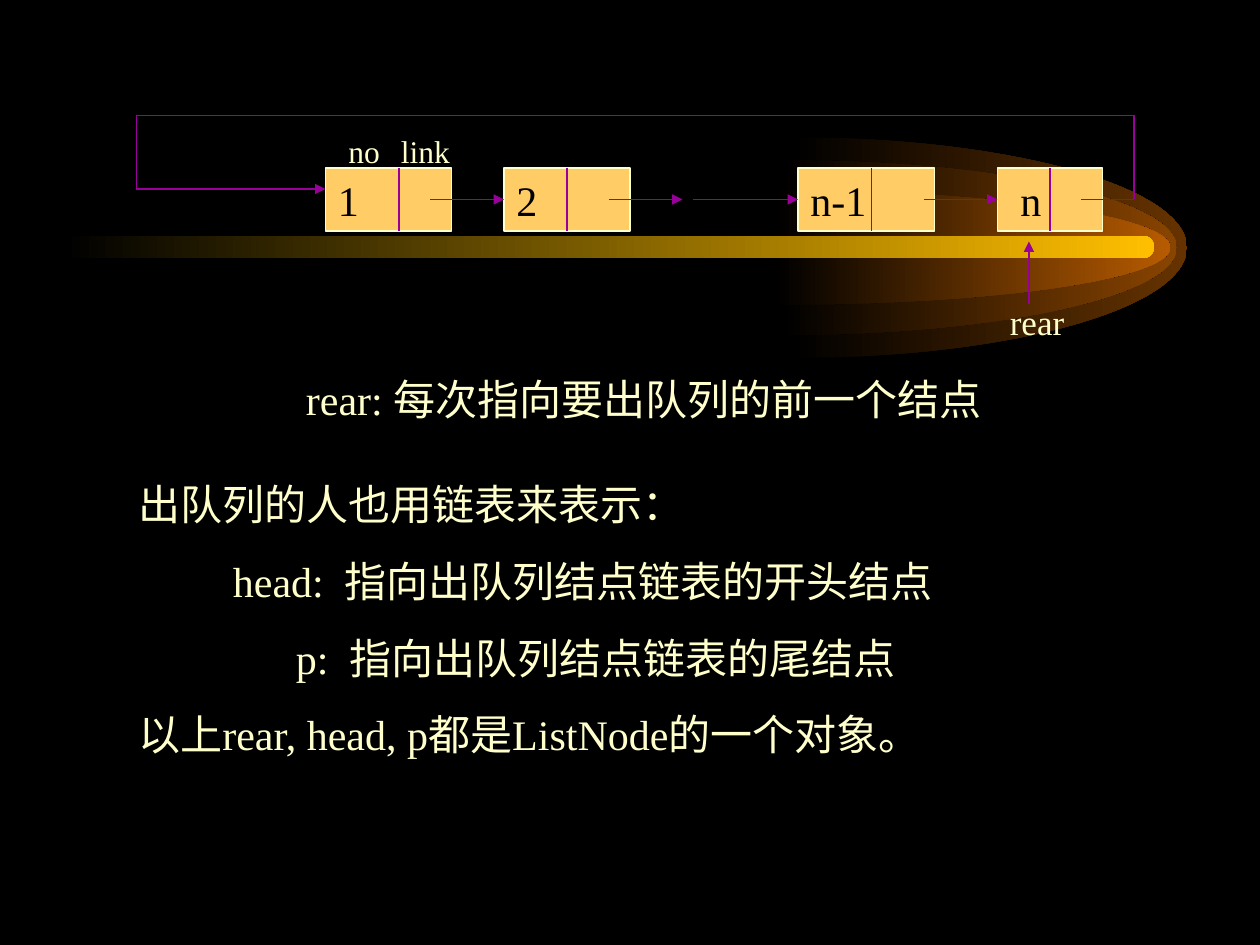
from itertools import pairwise

from lxml import etree
from pptx import Presentation
from pptx.dml.color import RGBColor
from pptx.enum.shapes import MSO_CONNECTOR, MSO_SHAPE
from pptx.oxml.ns import qn
from pptx.util import Inches, Pt

BLACK = RGBColor(0x00, 0x00, 0x00)
CREAM = RGBColor(0xFF, 0xFF, 0xCC)
SAND = RGBColor(0xFF, 0xCC, 0x66)
PLUM = RGBColor(0x99, 0x00, 0x99)
GOLD = RGBColor(0xFF, 0xBF, 0x00)
BROWN = RGBColor(0x66, 0x33, 0x00)
RUST = RGBColor(0x89, 0x44, 0x00)
AMBER = RGBColor(0xB7, 0x5B, 0x00)


def grid(*units):
    """Turn steps of a twelfth of an inch into lengths."""
    return [Inches(unit / 12) for unit in units]


class Board:
    font = "Times New Roman"
    thin = Pt(0.75)

    def __init__(self, deck):
        self.slide = deck.slides.add_slide(deck.slide_layouts[6])
        self.shapes = self.slide.shapes
        back = self.slide.background.fill
        back.solid()
        back.fore_color.rgb = BLACK

    def fade(self, shape, color):
        """Fade a shape from black on the left to a color."""
        shape.shadow.inherit = False
        shape.line.fill.background()
        shape.fill.gradient()
        shape.fill.gradient_angle = 0
        for stop, tint in zip(shape.fill.gradient_stops, (BLACK, color)):
            stop.color.rgb = tint

    def glow(self, left, top, wide, high, color):
        """Draw the right half of an ellipse as two curves."""
        half, bend = high / 2, 0.55
        mid = top + half
        right, pull = left + wide, left + bend * wide
        spots = [(left, top), (pull, top), (right, mid - bend * half),
                 (right, mid), (right, mid + bend * half),
                 (pull, top + high), (left, top + high), (left, mid)]
        spots = [(Inches(x), Inches(y)) for x, y in spots]
        pen = self.shapes.build_freeform(*spots[0])
        pen.add_line_segments(spots[1:], close=True)
        shape = pen.convert_to_shape()
        # Each three points after the start make one curve
        legs = list(shape._element.iter(qn("a:lnTo")))
        for first in (0, 3):
            curve = etree.Element(qn("a:cubicBezTo"))
            legs[first].addprevious(curve)
            for leg in legs[first:first + 3]:
                curve.append(leg[0])
                leg.getparent().remove(leg)
        self.fade(shape, color)

    def bar(self, left, top, wide, high, color):
        shape = self.shapes.add_shape(
            MSO_SHAPE.ROUNDED_RECTANGLE,
            Inches(left), Inches(top), Inches(wide), Inches(high))
        shape.adjustments[0] = 0.5
        self.fade(shape, color)

    def cell(self, left, top, wide, high):
        shape = self.shapes.add_shape(
            MSO_SHAPE.RECTANGLE, *grid(left, top, wide, high))
        shape.shadow.inherit = False
        shape.fill.solid()
        shape.fill.fore_color.rgb = SAND
        shape.line.color.rgb = CREAM
        shape.line.width = self.thin
        return shape

    def line(self, start, end, arrow=False):
        link = self.shapes.add_connector(
            MSO_CONNECTOR.STRAIGHT, *grid(*start, *end))
        link.line.color.rgb = PLUM
        link.line.width = self.thin
        if arrow:
            tail = etree.SubElement(link.line._get_or_add_ln(), qn("a:tailEnd"))
            tail.set("type", "triangle")
        etree.SubElement(link._element.spPr, qn("a:effectLst"))
        return link

    def text(self, left, top, wide, high, rows, size, color=CREAM):
        """Write rows of (indent, words, extra points after the first word)."""
        frame = self.shapes.add_textbox(
            *grid(left, top, wide, high)).text_frame
        frame.word_wrap = True
        for i, (indent, words, gap) in enumerate(rows):
            para = frame.add_paragraph() if i else frame.paragraphs[0]
            for part in words.partition(" ") if gap else [words]:
                para.add_run().text = part
            if i:
                para.space_before = Pt(15)
            if indent:
                para._p.get_or_add_pPr().set("marL", str(Inches(indent)))
            for run in para.runs:
                run.font.name = self.font
                run.font.size = Pt(size)
                run.font.color.rgb = color
                if run.text == " ":
                    run._r.get_or_add_rPr().set("spc", str(gap * 100))

    def label(self, left, top, wide, high, words, size, color=CREAM):
        self.text(left, top, wide, high, [(0, words, 0)], size, color)


def main():
    deck = Presentation()
    deck.slide_width, deck.slide_height = Inches(10), Inches(7.5)
    board = Board(deck)

    # Comet behind the list
    for left, top, high, color in ((6.29, 1.09, 1.75, BROWN),
                                   (6.21, 1.27, 1.39, RUST),
                                   (6.16, 1.51, 0.91, AMBER)):
        board.glow(left, top, 3.13, high, color)
    board.bar(0.5, 1.87, 8.66, 0.18, GOLD)

    # Nodes: left, width, divider, label left, label width, label
    top, high = 16, 6
    mid, low = top + high / 2, top + high
    nodes = ((31, 12, 38, 31, 8, "1"),
             (48, 12, 54, 48, 8, "2"),
             (76, 13, 83, 76, 8, "n-1"),
             (95, 10, 100, 96, 5, "n"))
    cells = []
    for left, wide, split, start, room, name in nodes:
        cells.append(board.cell(left, top, wide, high))
        board.line((split, top), (split, low))
        board.label(start, top, room, high, name, 24, BLACK)

    # Links between the nodes
    for start, end, goal in ((41, 48, 1), (71, 76, 2), (88, 95, 3)):
        link = board.line((start, mid), (end, mid), arrow=True)
        link.end_connect(cells[goal], 1)
    board.line((58, mid), (65, mid), arrow=True)
    board.line((66, mid), (71, mid))

    # Loop from the last node back to the first
    loop = [(103, mid), (108, mid), (108, 11), (13, 11), (13, 18), (31, 18)]
    for start, end in pairwise(loop):
        board.line(start, end, arrow=end == loop[-1])

    # Field names and rear pointer
    board.label(32, 12, 9, 4.8, "no", 18)
    board.label(37, 12, 10, 4.8, "link", 18)
    board.label(95, 28, 11, 5.25, "rear", 20)
    board.line((98, 29), (98, 23), arrow=True)

    # Notes on the pointers
    board.text(12, 35, 100, 6,
               [(1.33, "rear: 每次指向要出队列的前一个结点", 0)], 24)
    board.text(12, 45, 100, 28,
               [(0, "出队列的人也用链表来表示：", 0),
                (0.75, "head: 指向出队列结点链表的开头结点", 6),
                (1.25, "p: 指向出队列结点链表的尾结点", 6),
                (0, "以上rear, head, p都是ListNode的一个对象。", 0)], 24)

    deck.save("out.pptx")


if __name__ == "__main__":
    main()
